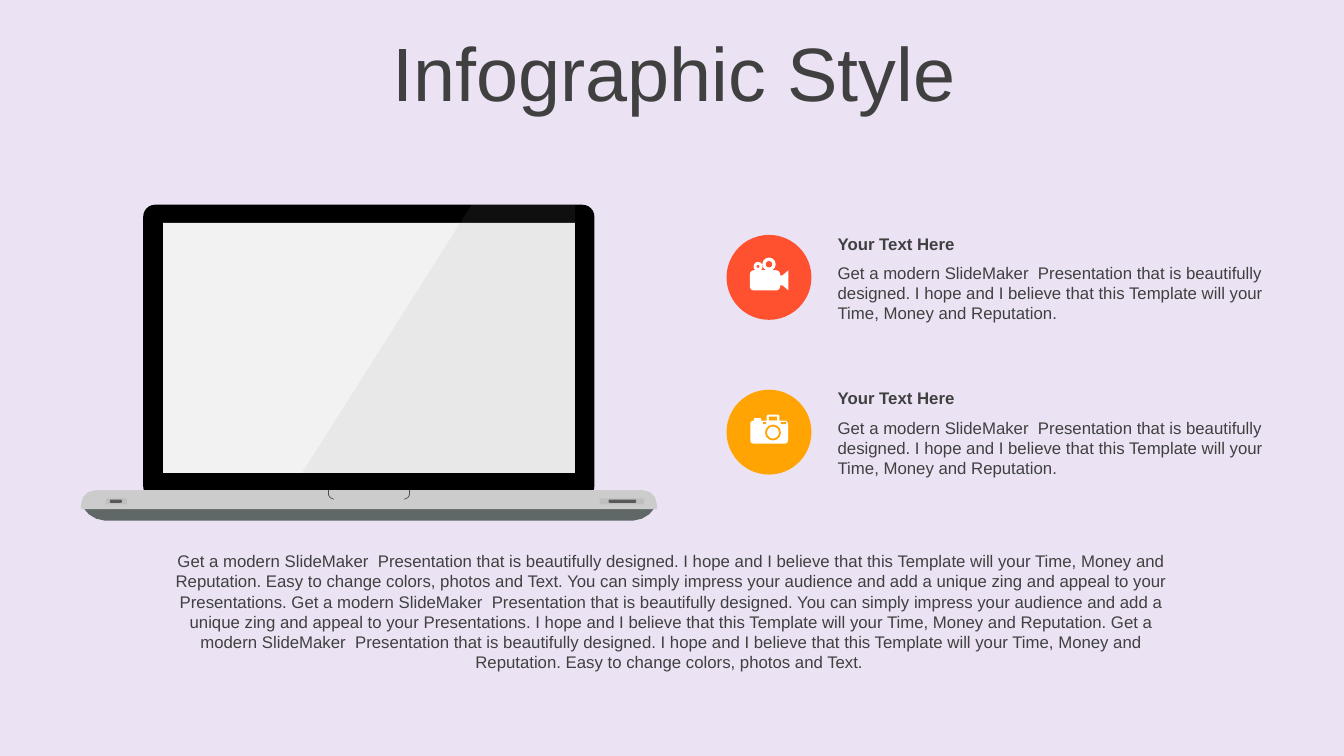
from lxml import etree
from pptx import Presentation
from pptx.dml.color import RGBColor
from pptx.enum.shapes import MSO_SHAPE
from pptx.enum.text import MSO_ANCHOR, MSO_AUTO_SIZE, PP_ALIGN
from pptx.oxml.ns import qn
from pptx.util import Cm, Pt

OVAL, RECT, ROUND = MSO_SHAPE.OVAL, MSO_SHAPE.RECTANGLE, MSO_SHAPE.ROUNDED_RECTANGLE
LEFT, CENTER = PP_ALIGN.LEFT, PP_ALIGN.CENTER
TOP, MIDDLE = MSO_ANCHOR.TOP, MSO_ANCHOR.MIDDLE
NO_FIT = MSO_AUTO_SIZE.NONE
FONT = "Arial"
COLORS = {
    "back": "EBE3F3", "text": "404040", "white": "FFFFFF",
    "red": "FF5030", "amber": "FFA402",
    "lid": "000000", "screen": "F2F2F2", "gloss": "999999",
    "base": "CCCCCC", "foot": "5F6767", "notch": "4D4D4D",
    "port": "BFBFBF", "slot": "595959",
}
HEADING = "Your Text Here"
INTRO = "Get a modern SlideMaker  Presentation that is beautifully designed. "
HOPE = ("I hope and I believe that this Template will your Time, Money "
        "and Reputation.")
EASY = " Easy to change colors, photos and Text. "
IMPRESS = ("You can simply impress your audience and add a unique zing and "
           "appeal to your Presentations. ")
SUMMARY = (INTRO + HOPE + EASY + IMPRESS + INTRO + IMPRESS + HOPE + " "
           + INTRO + HOPE + EASY)


def rgb(name):
    """Return the named colour."""
    return RGBColor.from_string(COLORS[name])


def paint(sp, color):
    """Give a shape a flat fill without line or shadow."""
    sp.shadow.inherit = False
    sp.fill.solid()
    sp.fill.fore_color.rgb = rgb(color)
    sp.line.fill.background()


def add_part(slide, kind, box, color, radius=None):
    """Add a flat preset shape; box and radius are in centimetres."""
    sp = slide.shapes.add_shape(kind, *map(Cm, box))
    paint(sp, color)
    if radius is not None:
        sp.adjustments[0] = radius / min(box[2:])
    return sp


def add_outline(slide, x, y, color, *contours, close=True):
    """Add a flat freeform with contours in centimetres from (x, y)."""
    builder = slide.shapes.build_freeform(
        Cm(x + contours[0][0][0]), Cm(y + contours[0][0][1]))
    for i, contour in enumerate(contours):
        points = [(Cm(x + dx), Cm(y + dy)) for dx, dy in contour]
        if i:
            builder.move_to(*points[0])
        builder.add_line_segments(points[1:], close=close)
    sp = builder.convert_to_shape()
    paint(sp, color)
    return sp


def mirror(points, width):
    """Return the points reflected across a part of the given width."""
    return [(width - dx, dy) for dx, dy in reversed(points)]


def write(tf, text, size, align=LEFT, anchor=TOP, bold=False):
    """Put one formatted paragraph into a text frame."""
    tf.word_wrap = True
    tf.auto_size = NO_FIT
    tf.vertical_anchor = anchor
    tf.text = text
    p = tf.paragraphs[0]
    p.alignment = align
    for r in p.runs:
        r.font.name = FONT
        r.font.size = Pt(size)
        r.font.bold = bold
        r.font.color.rgb = rgb("text")
    return p


def add_text(slide, box, text, **style):
    """Add a text box in 12 point type."""
    sp = slide.shapes.add_textbox(*map(Cm, box))
    write(sp.text_frame, text, 12, **style)


def add_title(slide, box, text):
    """Move and fill the title placeholder."""
    sp = slide.shapes.title
    sp.left, sp.top, sp.width, sp.height = map(Cm, box)
    write(sp.text_frame, text, 54, CENTER, MIDDLE).line_spacing = 0.9


def add_laptop(slide, x, y, w):
    """Draw the laptop with its top left corner at (x, y)."""
    foot = [(0.07, 0), (0.2, 0.15), (0.38, 0.26), (0.6, 0.31)]
    add_outline(slide, x, y + 7.65, "foot", foot + mirror(foot, w))
    add_part(slide, ROUND, (x + 1.57, y, 11.37, 7.39), "lid", 0.3)
    add_part(slide, RECT, (x + 2.07, y + 0.46, 10.38, 6.3), "screen")
    base = [(0, 0.48), (0, 0.38), (0.05, 0.18), (0.18, 0.05), (0.38, 0)]
    add_outline(slide, x, y + 7.19, "base", base + mirror(base, w))

    notch = [(0, 0), (0, 0.12), (0.04, 0.19), (0.13, 0.23)]
    trackpad = add_outline(slide, x + 6.24, y + 7.19, "notch",
                           notch, mirror(notch, 2.04), close=False)
    trackpad.fill.background()
    trackpad.line.color.rgb = rgb("notch")
    trackpad.line.width = Pt(0.5)

    for dx, width, inset, slot in ((0.63, 0.53, 0.1, 0.3), (13.07, 1.12, 0.23, 0.69)):
        add_part(slide, ROUND, (x + dx, y + 7.4, width, 0.15), "port", 0.04)
        add_part(slide, ROUND, (x + dx + inset, y + 7.43, slot, 0.08), "slot", 0.02)

    corners = [(9.85, 0), (12.45, 0), (12.45, 6.76), (5.57, 6.76)]
    gloss = add_outline(slide, x, y, "gloss", corners)
    clr = gloss.fill._xPr.find(qn("a:solidFill"))[0]
    etree.SubElement(clr, qn("a:alpha")).set("val", "10000")


def add_icon(slide, cx, cy, parts):
    """Draw icon parts, each placed from the centre (cx, cy)."""
    for kind, color, (dx, dy, w, h), radius in parts:
        add_part(slide, kind, (cx + dx, cy + dy, w, h), color, radius)


def add_video(slide, cx, cy, color):
    """Draw a film camera icon around (cx, cy)."""
    add_icon(slide, cx, cy, (
        (ROUND, "white", (-0.48, -0.18, 0.76, 0.51), 0.1),
        (OVAL, "white", (-0.39, -0.39, 0.23, 0.23), None),
        (OVAL, color, (-0.31, -0.31, 0.07, 0.07), None),
        (OVAL, "white", (-0.17, -0.5, 0.34, 0.34), None),
        (OVAL, color, (-0.08, -0.41, 0.16, 0.16), None),
    ))
    horn = [(0.27, -0.05), (0.34, -0.05), (0.49, -0.18),
            (0.49, 0.33), (0.34, 0.2), (0.27, 0.2)]
    add_outline(slide, cx, cy, "white", horn)


def add_camera(slide, cx, cy, color):
    """Draw a photo camera icon around (cx, cy)."""
    add_icon(slide, cx, cy, (
        (ROUND, "white", (-0.06, -0.44, 0.32, 0.2), 0.04),
        (RECT, color, (0, -0.39, 0.2, 0.1), None),
        (ROUND, "white", (-0.38, -0.35, 0.18, 0.1), 0.02),
        (ROUND, "white", (-0.47, -0.29, 0.95, 0.58), 0.08),
        (RECT, color, (-0.15, -0.25, 0.08, 0.05), None),
        (RECT, color, (0.3, -0.25, 0.13, 0.05), None),
        (OVAL, color, (-0.1, -0.19, 0.4, 0.4), None),
        (OVAL, "white", (-0.05, -0.14, 0.3, 0.3), None),
    ))


def add_feature(slide, x, y, color, draw_icon):
    """Place a round icon with a heading and a text beside it."""
    size = 2.14
    add_part(slide, OVAL, (x, y, size, size), color)
    draw_icon(slide, x + size / 2, y + size / 2, color)
    add_text(slide, (x + 2.55, y - 0.16, 11.38, 0.75), HEADING,
             anchor=MIDDLE, bold=True)
    add_text(slide, (x + 2.55, y + 0.58, 11.38, 1.8), INTRO + HOPE)


def main():
    """Build the slide and save it."""
    prs = Presentation()
    prs.slide_width, prs.slide_height = Cm(33.87), Cm(19.05)
    slide = prs.slides.add_slide(prs.slide_layouts[5])
    slide.background.fill.solid()
    slide.background.fill.fore_color.rgb = rgb("back")

    add_title(slide, (0.91, 0.94, 32.16, 2), "Infographic Style")
    add_laptop(slide, 2.04, 5.16, 14.52)
    features = (("red", add_video), ("amber", add_camera))
    for i, (color, draw_icon) in enumerate(features):
        add_feature(slide, 18.31, 5.92 + 3.9 * i, color, draw_icon)
    add_text(slide, (4.04, 13.76, 25.78, 3.33), SUMMARY, align=CENTER)
    prs.save("out.pptx")


if __name__ == "__main__":
    main()
